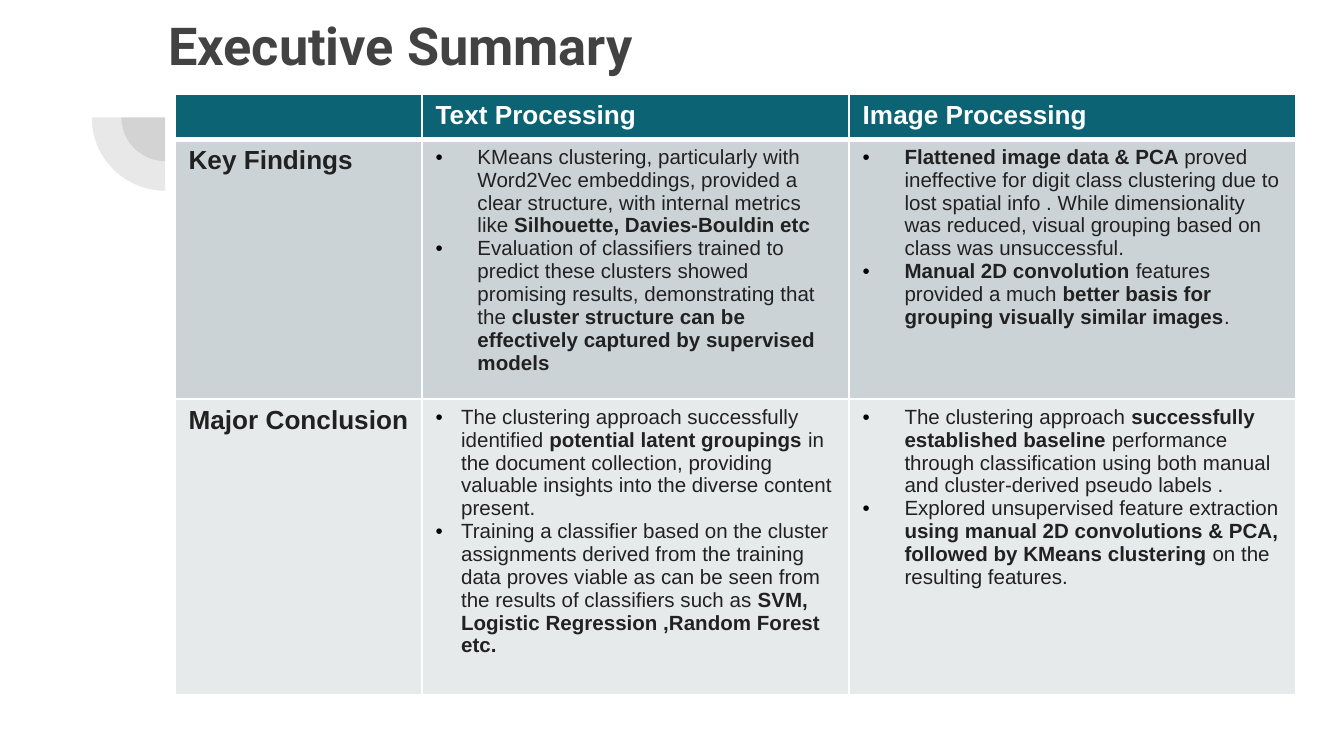
"""Build the executive summary slide with a comparison table."""
import lxml.etree
import pptx
import pptx.dml.color
import pptx.enum.shapes
import pptx.oxml.ns
import pptx.util

Cm = pptx.util.Cm
Pt = pptx.util.Pt
qn = pptx.oxml.ns.qn

TITLE = "Executive Summary"
ROWS = [
    ["", "Text Processing", "Image Processing"],
    [
        "Key Findings",
        [
            "KMeans clustering, particularly with Word2Vec embeddings, provided a clear structure, "
            "with internal metrics like **Silhouette, Davies-Bouldin etc**",
            "Evaluation of classifiers trained to predict these clusters showed promising results, "
            "demonstrating that the **cluster structure can be effectively captured by supervised models**",
        ],
        [
            "**Flattened image data & PCA **proved ineffective for digit class clustering due to lost "
            "spatial info . While dimensionality was reduced, visual grouping based on class was unsuccessful.",
            "**Manual 2D convolution **features provided a much "
            "**better basis for grouping visually similar images**.",
        ],
    ],
    [
        "Major Conclusion",
        [
            "The clustering approach successfully identified **potential latent groupings **in the "
            "document collection, providing valuable insights into the diverse content present.",
            "Training a classifier based on the cluster assignments derived from the training data proves "
            "viable as can be seen from the results of classifiers such as "
            "**SVM, Logistic Regression ,Random Forest etc.**",
        ],
        [
            "The clustering approach **successfully established baseline **performance through "
            "classification using both manual and cluster-derived pseudo labels .",
            "Explored unsupervised feature extraction **using manual 2D convolutions & PCA, "
            "followed by KMeans clustering **on the resulting features.",
        ],
    ],
]
COLUMN_WIDTHS = [4.67, 8.07, 8.43]
ROW_HEIGHTS = [0.81, 4.65, 5.59]
WIDE_INDENT, NARROW_INDENT = 0.79, 0.48
PIE_CENTER = (3.12, 2.22)
PIE_DIAMETERS = [1.65, 2.77]

THEME = {
    "title": {"name": "Roboto", "size": Pt(28), "bold": True, "color": "424242"},
    "header": {"name": "Arial", "size": Pt(14), "bold": True, "color": "FFFFFF"},
    "label": {"name": "Arial", "size": Pt(14), "bold": True, "color": "212121"},
    "body": {"name": "Arial", "size": Pt(11), "color": "212121"},
    "row_fills": ["0B6374", "CCD3D6", "E7EAEB"],
    "border": "FFFFFF",
    "bullet": "000000",
    "pie": "424242",
    "pie_alpha": 12,
}


def color_of(value):
    return pptx.dml.color.RGBColor.from_string(value)


def add_element(parent, tag, **attributes):
    return lxml.etree.SubElement(parent, qn(tag), attributes)


def fill_solid(target, value):
    target.fill.solid()
    target.fill.fore_color.rgb = color_of(value)


def add_text(paragraph, text, formats):
    for index, part in enumerate(text.split("**")):
        if not part:
            continue
        run = paragraph.add_run()
        run.text = part
        for name, value in {"bold": index % 2 == 1, **formats}.items():
            if name == "color":
                run.font.color.rgb = color_of(value)
            else:
                setattr(run.font, name, value)
    add_element(paragraph._p, "a:endParaRPr", sz=str(int(formats["size"].pt * 100)))


def add_bullet(paragraph, indent):
    properties = paragraph._p.get_or_add_pPr()
    properties.set("marL", str(Cm(indent)))
    properties.set("indent", str(-Cm(indent)))
    add_element(add_element(properties, "a:buClr"), "a:srgbClr", val=THEME["bullet"])
    add_element(properties, "a:buFont", typeface="Arial")
    add_element(properties, "a:buChar", char="•")


def add_borders(cell, row_index):
    thick_side = {0: "a:lnB", 1: "a:lnT"}.get(row_index)
    for side in ("a:lnL", "a:lnR", "a:lnT", "a:lnB"):
        width = Pt(3 if side == thick_side else 1)
        line = add_element(cell._tc.get_or_add_tcPr(), side, w=str(width))
        add_element(add_element(line, "a:solidFill"), "a:srgbClr", val=THEME["border"])


def fill_cell(cell, content, row_index, column_index):
    add_borders(cell, row_index)
    fill_solid(cell, THEME["row_fills"][row_index])
    frame = cell.text_frame
    if isinstance(content, str):
        add_text(frame.paragraphs[0], content, THEME["label" if row_index else "header"])
        return
    indent = NARROW_INDENT if (row_index, column_index) == (2, 1) else WIDE_INDENT
    for index, item in enumerate(content):
        paragraph = frame.add_paragraph() if index else frame.paragraphs[0]
        add_bullet(paragraph, indent)
        add_text(paragraph, item, THEME["body"])


def add_pie(slide, diameter):
    left, top = (Cm(center - diameter / 2) for center in PIE_CENTER)
    shape = slide.shapes.add_shape(
        pptx.enum.shapes.MSO_SHAPE.PIE, left, top, Cm(diameter), Cm(diameter))
    shape.adjustments[0], shape.adjustments[1] = 108, 162
    shape.rotation = 270
    shape.shadow.inherit = False
    fill_solid(shape, THEME["pie"])
    color = shape._element.spPr.find(qn("a:solidFill")).find(qn("a:srgbClr"))
    add_element(color, "a:alpha", val=str(THEME["pie_alpha"] * 1000))
    shape.line.fill.background()


def add_title(slide):
    frame = slide.shapes.add_textbox(Cm(2.93), Cm(0), Cm(19.53), Cm(2.77)).text_frame
    frame.word_wrap = True
    for side in ("left", "top", "right", "bottom"):
        setattr(frame, f"margin_{side}", Cm(0.25))
    add_text(frame.paragraphs[0], TITLE, THEME["title"])


def add_summary_table(slide):
    table = slide.shapes.add_table(
        len(ROWS), len(COLUMN_WIDTHS), Cm(3.31), Cm(1.78),
        Cm(sum(COLUMN_WIDTHS)), Cm(sum(ROW_HEIGHTS))).table
    for column, width in zip(table.columns, COLUMN_WIDTHS):
        column.width = Cm(width)
    for row_index, (row, height) in enumerate(zip(table.rows, ROW_HEIGHTS)):
        row.height = Cm(height)
        for column_index, content in enumerate(ROWS[row_index]):
            fill_cell(row.cells[column_index], content, row_index, column_index)


def main():
    presentation = pptx.Presentation()
    presentation.slide_width, presentation.slide_height = Cm(25.4), Cm(14.29)
    slide = presentation.slides.add_slide(presentation.slide_layouts[6])
    for diameter in PIE_DIAMETERS:
        add_pie(slide, diameter)
    add_title(slide)
    add_summary_table(slide)
    presentation.save("out.pptx")


if __name__ == "__main__":
    main()
